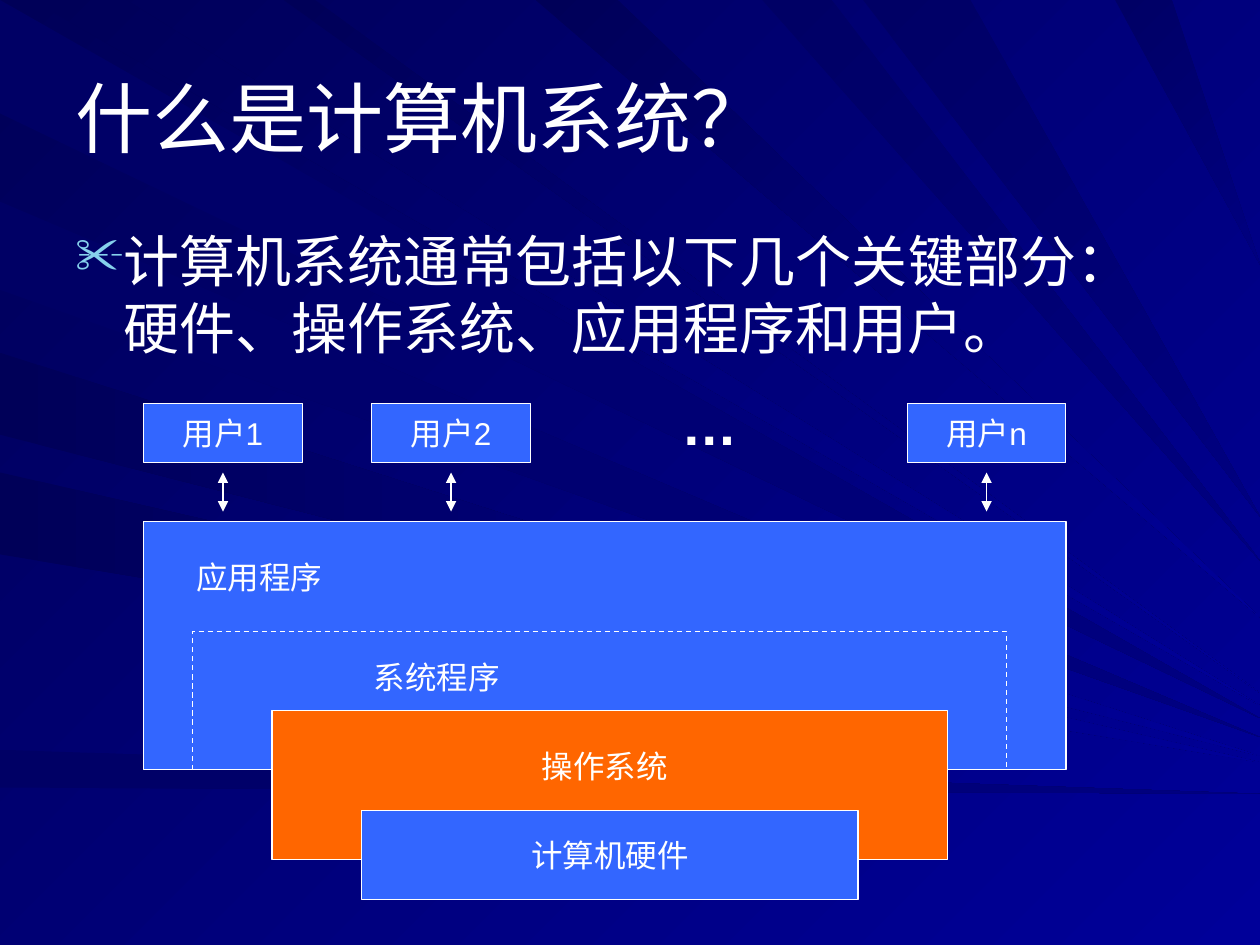
from lxml.etree import SubElement
from pptx import Presentation
from pptx.dml.color import RGBColor
from pptx.enum.dml import MSO_LINE
from pptx.enum.shapes import MSO_CONNECTOR, MSO_SHAPE
from pptx.enum.text import MSO_ANCHOR, PP_ALIGN
from pptx.oxml.ns import qn
from pptx.util import Inches, Pt

COLORS = {"white": "FFFFFF", "blue": "3366FF", "orange": "FF6600", "bullet": "86D1EC",
          "night": "000058", "dusk": "000065", "navy": "000099", "deep": "000080"}

# Light rays narrow to a point on the right edge: start and end on the
# left or top edge, height of the point, colour of the far end
LEFT_RAYS = [(0, 0.9, 5.7, "deep"), (1.6, 2.3, 5.85, "deep"), (2.8, 3.45, 6, "navy"),
             (3.75, 4.4, 6.05, "navy"), (5.95, 6.25, 6.3, "deep")]
TOP_RAYS = [(0.25, 1, 5.6, "navy"), (2.25, 2.5, 5.5, "navy"), (4.25, 4.9, 4.9, "navy"),
            (6.05, 6.6, 4.45, "deep"), (6.85, 7.7, 4.1, "deep"), (8.85, 9.3, 2.1, "deep")]


def paint(fill, start, end, angle=0):
    if start == end:
        fill.solid()
        fill.fore_color.rgb = RGBColor.from_string(COLORS[start])
        return
    fill.gradient()
    fill.gradient_angle = (360 - angle) % 360
    for stop, color in zip(fill.gradient_stops, (start, end)):
        stop.color.rgb = RGBColor.from_string(COLORS[color])


def write(frame, text, size=18, align=PP_ALIGN.LEFT, anchor=MSO_ANCHOR.TOP, wrap=True, bold=False):
    frame.word_wrap = wrap
    frame.vertical_anchor = anchor
    paragraph = frame.paragraphs[0]
    paragraph.alignment = align
    run = paragraph.add_run()
    run.text = text
    run.font.name = "Arial"
    run.font.size = Pt(size)
    run.font.bold = bold
    run.font.color.rgb = RGBColor.from_string(COLORS["white"])
    return paragraph


prs = Presentation()
prs.slide_width, prs.slide_height = Inches(10), Inches(7.5)
slide = prs.slides.add_slide(prs.slide_layouts[5])
shapes = slide.shapes
white = RGBColor.from_string(COLORS["white"])

# Background with rays
paint(slide.background.fill, "night", "navy", 45)
rays = [((0, a), (0, b), tip, color, 0) for a, b, tip, color in LEFT_RAYS]
rays += [((a, 0), (b, 0), tip, color, 45) for a, b, tip, color in TOP_RAYS]
for first, second, tip, color, angle in rays:
    corners = [(Inches(x), Inches(y)) for x, y in (first, second, (10, tip))]
    builder = shapes.build_freeform(*corners[0])
    builder.add_line_segments(corners[1:], close=True)
    ray = builder.convert_to_shape()
    ray.shadow.inherit = False
    ray.line.fill.background()
    paint(ray.fill, "night" if color == "navy" else "dusk", color, angle)

# Title, brought in front of the rays
title = shapes.title
title.element.getparent().append(title.element)
title.left, title.top, title.width, title.height = Inches(0.5), Inches(0.3), Inches(9), Inches(1.25)
write(title.text_frame, "什么是计算机系统？", 44, anchor=MSO_ANCHOR.MIDDLE)

# Bulleted statement
statement = shapes.add_textbox(Inches(0.5), Inches(1.75), Inches(9), Inches(1.3))
paragraph = write(statement.text_frame, "计算机系统通常包括以下几个关键部分：硬件、操作系统、应用程序和用户。", 32)
props = paragraph._p.get_or_add_pPr()
props.set("marL", str(Inches(0.38)))
props.set("indent", str(-Inches(0.38)))
SubElement(SubElement(props, qn("a:buClr")), qn("a:srgbClr"), val=COLORS["bullet"])
SubElement(props, qn("a:buSzPct"), val="90000")
SubElement(props, qn("a:buChar"), char="✂")

# Users and system layers, back to front
USER_WIDTH = 1.26
USERS = [("用户1", 1.14), ("用户2", 2.95), ("用户n", 7.2)]
boxes = [(name, left, 3.2, USER_WIDTH, 0.47, "blue") for name, left in USERS]
boxes += [
    ("", 1.14, 4.14, 7.32, 1.97, "blue"),
    ("", 2.16, 5.64, 5.36, 1.18, "orange"),
    ("计算机硬件", 2.87, 6.43, 3.94, 0.71, "blue"),
]
for name, left, top, width, height, color in boxes:
    box = shapes.add_shape(MSO_SHAPE.RECTANGLE, Inches(left), Inches(top), Inches(width), Inches(height))
    box.shadow.inherit = False
    paint(box.fill, color, color)
    box.line.color.rgb = white
    box.line.width = Pt(0.75)
    if name:
        write(box.text_frame, name, align=PP_ALIGN.CENTER, anchor=MSO_ANCHOR.MIDDLE, wrap=False)

# Two-way arrows under the users
for name, left in USERS:
    center = Inches(left + USER_WIDTH / 2)
    arrow = shapes.add_connector(MSO_CONNECTOR.STRAIGHT, center, Inches(3.75), center, Inches(4.06))
    arrow.line.color.rgb = white
    arrow.line.width = Pt(0.75)
    outline = arrow.line._get_or_add_ln()
    for tip in ("a:headEnd", "a:tailEnd"):
        SubElement(outline, qn(tip), type="triangle")
    SubElement(arrow._element.spPr, qn("a:effectLst"))

# Dashed boundary of the system programs
left, right, top, bottom = Inches(1.53), Inches(7.99), Inches(5.01), Inches(6.11)
builder = shapes.build_freeform(left, bottom)
builder.add_line_segments([(left, top), (right, top), (right, bottom)], close=False)
boundary = builder.convert_to_shape()
boundary.shadow.inherit = False
boundary.fill.background()
boundary.line.color.rgb = white
boundary.line.width = Pt(0.75)
boundary.line.dash_style = MSO_LINE.DASH

# Layer labels and the ellipsis between users
for text, left, top, width, height, size, align in [
    ("操作系统", 2.95, 5.88, 3.7, 0.4, 18, PP_ALIGN.CENTER),
    ("应用程序", 1.46, 4.38, 6.69, 0.4, 18, PP_ALIGN.LEFT),
    ("系统程序", 2.87, 5.17, 4.1, 0.4, 18, PP_ALIGN.LEFT),
    ("…", 5.31, 3.04, 1.26, 0.64, 32, PP_ALIGN.LEFT),
]:
    label = shapes.add_textbox(Inches(left), Inches(top), Inches(width), Inches(height))
    write(label.text_frame, text, size, align, bold=text == "…")

prs.save("out.pptx")
